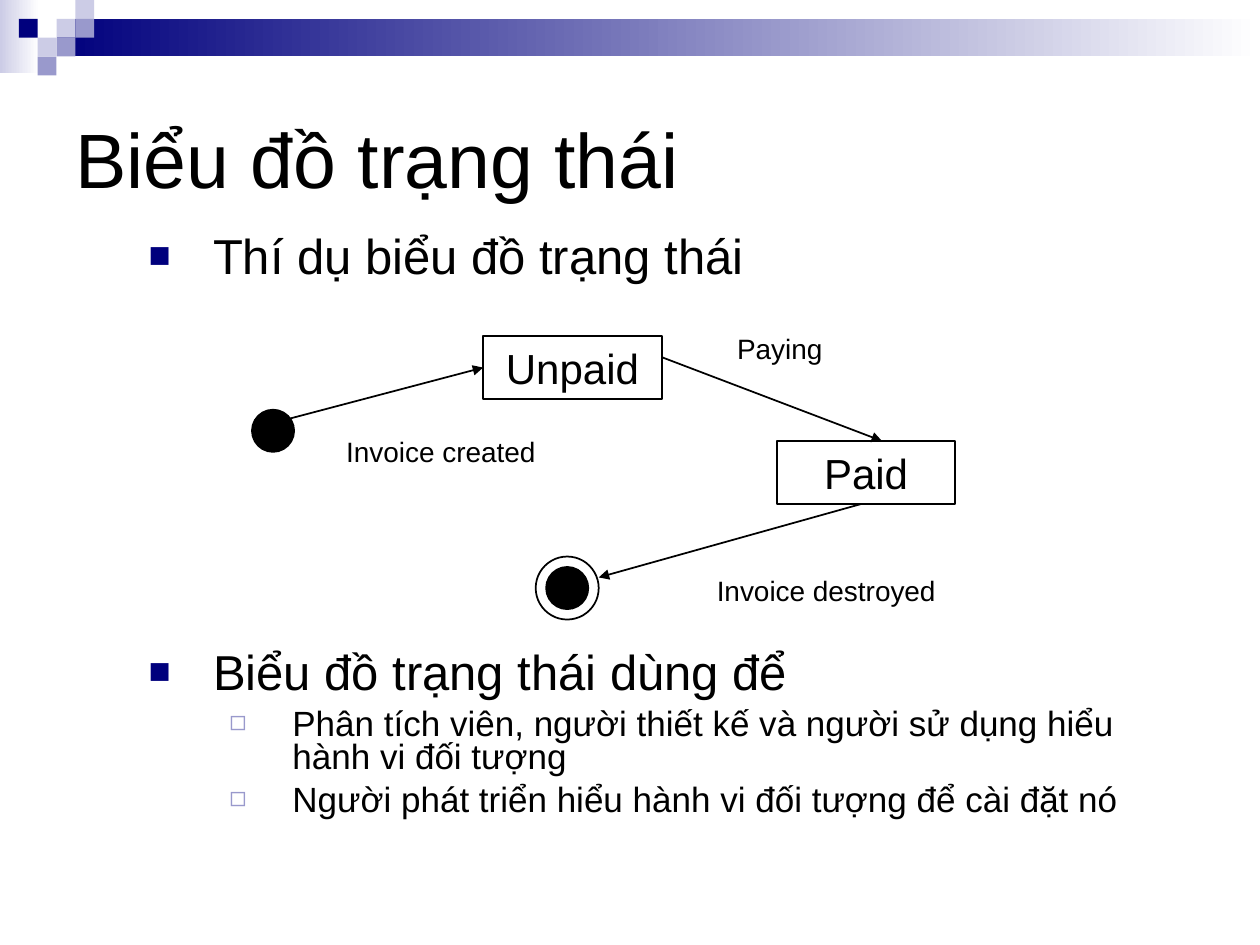
from lxml.etree import SubElement
from pptx import Presentation
from pptx.dml.color import RGBColor
from pptx.enum.shapes import MSO_CONNECTOR, MSO_SHAPE
from pptx.enum.text import MSO_ANCHOR, MSO_AUTO_SIZE, PP_ALIGN
from pptx.oxml.ns import qn
from pptx.util import Cm, Pt

BLACK = RGBColor(0x00, 0x00, 0x00)
WHITE = RGBColor(0xFF, 0xFF, 0xFF)
NAVY = RGBColor(0x00, 0x00, 0x7D)
LILAC = RGBColor(0x99, 0x99, 0xCC)
PALE = RGBColor(0xCC, 0xCC, 0xE6)


def add_run(para, text, size):
    run = para.add_run()
    run.text = text
    run.font.name = "Arial"
    run.font.size = Pt(size)
    run.font.color.rgb = BLACK


def draw(kind, left, top, width, height, fill=None, line=None):
    """Add a preset shape, measured in centimetres, without a shadow."""
    shape = slide.shapes.add_shape(kind, Cm(left), Cm(top), Cm(width), Cm(height))
    shape.shadow.inherit = False
    if fill is not None:
        shape.fill.solid()
        shape.fill.fore_color.rgb = fill
    if line is None:
        shape.line.fill.background()
    else:
        shape.line.color.rgb = line
        shape.line.width = Pt(1)
    return shape


deck = Presentation()
deck.slide_width = Cm(25.4)
deck.slide_height = Cm(19.05)
slide = deck.slides.add_slide(deck.slide_layouts[1])

# Header bands, fading to white on the right
for left, top, width, height, tint in [
    (0, 0, 0.79, 1.47, PALE),
    (1.14, 0.38, 24.26, 0.76, NAVY),
]:
    band = draw(MSO_SHAPE.RECTANGLE, left, top, width, height)
    band.fill.gradient()
    band.fill.gradient_angle = 180
    for stop, color in zip(band.fill.gradient_stops, (WHITE, tint)):
        stop.color.rgb = color

# Header squares on a grid
STEP = 0.38
for col, row, color in [
    (3, 1, PALE), (4, 0, PALE), (4, 1, LILAC), (2, 2, PALE),
    (1, 1, NAVY), (3, 2, LILAC), (2, 3, LILAC),
]:
    draw(MSO_SHAPE.RECTANGLE, col * STEP, row * STEP, STEP, STEP, color)

# Title
title = slide.shapes.title
title.left, title.top, title.width, title.height = Cm(1.27), Cm(1.27), Cm(22.86), Cm(3.81)
title.text_frame.auto_size = MSO_AUTO_SIZE.NONE
title.text_frame.vertical_anchor = MSO_ANCHOR.MIDDLE
para = title.text_frame.paragraphs[0]
para.alignment = PP_ALIGN.LEFT
add_run(para, "Biểu đồ trạng thái", 44)

# Bullet list, with room for the diagram after the first item
body = slide.placeholders[1]
body.left, body.top, body.width, body.height = Cm(2.74), Cm(4.65), Cm(21.67), Cm(12.5)
frame = body.text_frame
frame.auto_size = MSO_AUTO_SIZE.NONE
STYLES = [
    # size, margin, indent, bullet, bullet colour, bullet percent
    (28, 1.3, -1.3, "■", NAVY, 75),
    (20, 2.9, -1.27, "◻", LILAC, 80),
]
ITEMS = [
    (0, 0, "Thí dụ biểu đồ trạng thái"),
    (0, 211, "Biểu đồ trạng thái dùng để"),
    (1, 5, "Phân tích viên, người thiết kế và người sử dụng hiểu hành vi đối tượng"),
    (1, 5, "Người phát triển hiểu hành vi đối tượng để cài đặt nó"),
]
for pos, (level, gap, text) in enumerate(ITEMS):
    size, margin, indent, mark, color, scale = STYLES[level]
    para = frame.add_paragraph() if pos else frame.paragraphs[0]
    para.level = level
    props = para._p.get_or_add_pPr()
    props.set("marL", str(Cm(margin)))
    props.set("indent", str(Cm(indent)))
    SubElement(SubElement(props, qn("a:buClr")), qn("a:srgbClr"), val=str(color))
    SubElement(props, qn("a:buSzPct"), val=str(scale * 1000))
    SubElement(props, qn("a:buFont"), typeface="Arial")
    SubElement(props, qn("a:buChar"), char=mark)
    para.line_spacing = 0.8
    para.space_before = Pt(gap)
    add_run(para, text, size)

# Start state
draw(MSO_SHAPE.OVAL, 5.08, 8.26, 0.85, 0.85, BLACK, BLACK)

# Named states
for left, top, text in [(9.74, 6.77, "Unpaid"), (15.66, 8.89, "Paid")]:
    state = draw(MSO_SHAPE.RECTANGLE, left, top, 3.6, 1.27, WHITE, BLACK)
    frame = state.text_frame
    frame.word_wrap = False
    frame.vertical_anchor = MSO_ANCHOR.MIDDLE
    para = frame.paragraphs[0]
    para.alignment = PP_ALIGN.CENTER
    add_run(para, text, 24)

# End state
draw(MSO_SHAPE.OVAL, 10.8, 11.22, 1.27, 1.27, WHITE, BLACK)
draw(MSO_SHAPE.OVAL, 11.01, 11.43, 0.85, 0.85, BLACK, BLACK)

# Transitions
for ends in [
    (5.72, 8.47, 9.74, 7.41),
    (13.34, 7.2, 17.78, 8.89),
    (17.36, 10.16, 12.07, 11.64),
]:
    arrow = slide.shapes.add_connector(MSO_CONNECTOR.STRAIGHT, *map(Cm, ends))
    arrow.line.color.rgb = BLACK
    arrow.line.width = Pt(1)
    SubElement(arrow.line._get_or_add_ln(), qn("a:tailEnd"), type="triangle")
    SubElement(arrow._element.spPr, qn("a:effectLst"))

# Transition labels
for left, top, width, text in [
    (6.73, 8.64, 4.32, "Invoice created"),
    (14.61, 6.55, 2.24, "Paying"),
    (14.2, 11.43, 4.93, "Invoice destroyed"),
]:
    label = slide.shapes.add_textbox(Cm(left), Cm(top), Cm(width), Cm(0.94))
    label.text_frame.word_wrap = False
    label.text_frame.auto_size = MSO_AUTO_SIZE.SHAPE_TO_FIT_TEXT
    add_run(label.text_frame.paragraphs[0], text, 16)

deck.save("out.pptx")
